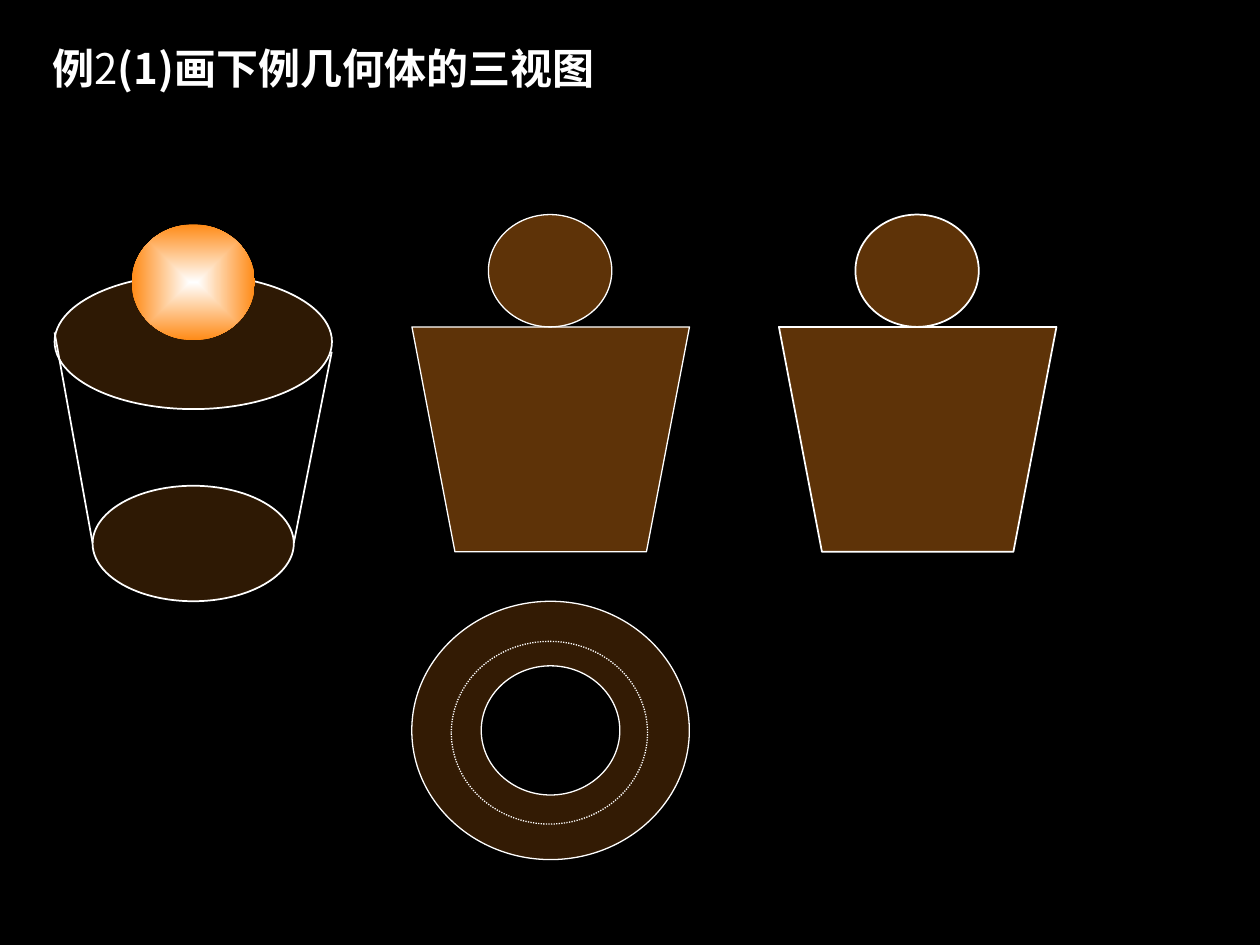
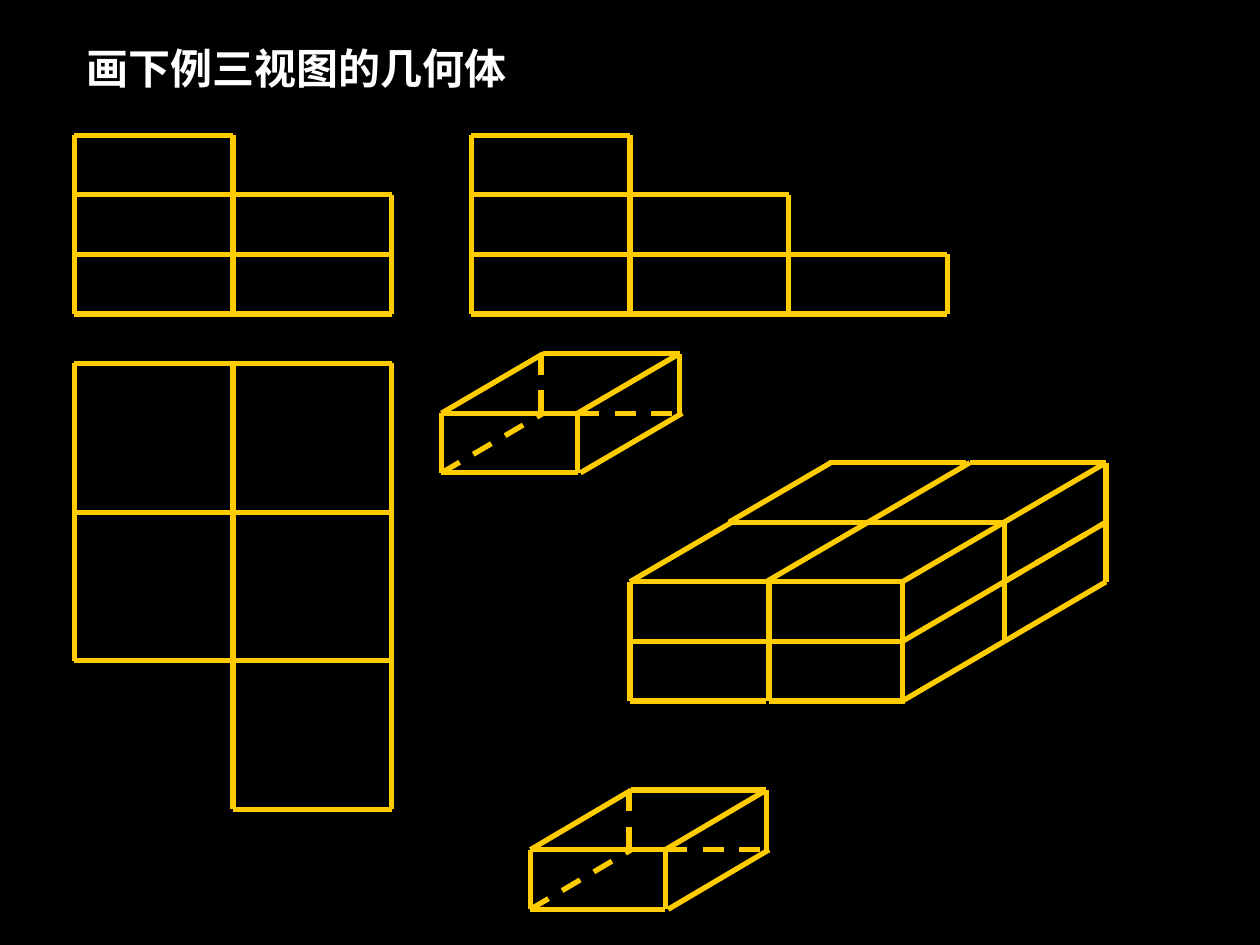
import pptx
import pptx.util
import pptx.dml.color
import pptx.enum.dml
import pptx.enum.shapes
import pptx.oxml
import pptx.oxml.ns
from dataclasses import dataclass

Pt = pptx.util.Pt
qn = pptx.oxml.ns.qn
Dash = pptx.enum.dml.MSO_LINE


@dataclass(frozen=True)
class Theme:
    back: str = "000000"
    text: str = "FFFFFF"
    edge: str = "FFCC00"
    clay: str = "FF8B17"
    size: float = 24
    thin: float = 0.75
    fine: float = 1
    bold: float = 3
    han: str = "Noto Sans CJK SC"
    latin: str = "Montserrat"


theme = Theme()

titles = [
    {"runs": [("例", True), ("2", False), ("(1)画下例几何体的三视图", True)],
     "box": (23, 20.5, 333.4, 36), "font": theme.han},
    {"runs": [("画下例三视图的几何体", True)],
     "box": (42.5, 20.5, 275, 36), "font": theme.latin},
]
rims = [(31.2, 156.8, 158.5, 77), (52.9, 277.6, 115, 66)]
sides = [(31.2, 190, 52.9, 310.3), (189.6, 201, 167.9, 310.3)]
ball = (75.3, 128.2, 70.4, 66.2)
fronts = [(235.4, theme.thin), (445.1, theme.fine)]
ring = {"mid": (314.6, 417.4), "outer": (79.3, 73.8), "inner": (39.6, 36.9)}
base = (257.9, 366.5, 112.1, 104.4)

views = [
    {"at": (42.5, 77.3), "cell": (90.7, 34.05),
     "cells": [(0, 0), (0, 1), (1, 1), (0, 2), (1, 2)]},
    {"at": (269.3, 77.3), "cell": (90.7, 34.05),
     "cells": [(0, 0), (0, 1), (1, 1), (0, 2), (1, 2), (2, 2)]},
    {"at": (42.5, 207.7), "cell": (90.7, 84.95),
     "cells": [(0, 0), (1, 0), (0, 1), (1, 1), (1, 2)]},
]
hidden = [((0, 0, 0), (0, 0, 1)), ((0, 1, 1), (0, 0, 1)), ((0, 0, 1), (1, 0, 1))]
inner = [((0, 0, 1), (1, 0, 1)), ((0, 1, 1), (1, 1, 1)), ((0, 2, 1), (1, 2, 1)),
         ((0.75, 2, 1), (1.75, 2, 1)), ((2, 1, 1), (2, 0, 1)), ((2, 1, 1), (2, 1, 2))]
small = {hidden[1]: -1.4, hidden[2]: -1.4, ((1, 0, 0), (1, 0, 1)): 1.6}
large = {((1, 0, 0), (1, 1, 0)): 1.7, ((1, 1, 0), (1, 2, 0)): 1.7,
         ((1, 0, 0), (2, 0, 0)): 1.7, ((0, 2, 1), (0, 2, 2)): -1.6,
         ((0, 2, 2), (1, 2, 2)): -2.4}
blocks = [
    {"at": (360, 400.6), "unit": (77.8, 34.05, 58.2), "count": 2,
     "dashes": inner, "shifts": large},
    {"at": (252.3, 270.2), "unit": (77.8, 34.05, 58.2), "count": 1,
     "dashes": hidden, "shifts": small},
    {"at": (303.1, 519.6), "unit": (77.1, 34.05, 57.7), "count": 1,
     "dashes": hidden, "shifts": small},
]


def color(code):
    return pptx.dml.color.RGBColor.from_string(code)


def pts(values):
    return [Pt(v) for v in values]


def write(slide, runs, box, font, size=theme.size, tint=theme.text):
    frame = slide.shapes.add_textbox(*pts(box)).text_frame
    frame.word_wrap = True
    para = frame.paragraphs[0]
    for text, bold in runs:
        run = para.add_run()
        run.text = text
        run.font.name = font
        run.font.size = Pt(size)
        run.font.bold = bold
        run.font.color.rgb = color(tint)
        east = run.font._element.makeelement(qn("a:ea"), {"typeface": theme.han})
        run.font._element.find(qn("a:latin")).addnext(east)


def style(shape, alpha=None, width=None, dash=None):
    shape.shadow.inherit = False
    if alpha:
        shape.fill.solid()
        shape.fill.fore_color.rgb = color(theme.clay)
        tone = shape._element.spPr.find(qn("a:solidFill"))[0]
        tone.append(tone.makeelement(qn("a:alpha"), {"val": str(alpha * 1000)}))
    else:
        shape.fill.background()
    if width:
        shape.line.color.rgb = color(theme.text)
        shape.line.width = Pt(width)
        if dash:
            shape.line.dash_style = dash
    else:
        shape.line.fill.background()


def oval(group, box, **look):
    kind = pptx.enum.shapes.MSO_SHAPE.OVAL
    shape = group.shapes.add_shape(kind, *pts(box))
    style(shape, **look)
    return shape


def line(group, ends, tint, width, dash=None):
    kind = pptx.enum.shapes.MSO_CONNECTOR.STRAIGHT
    link = group.shapes.add_connector(kind, *pts(ends))
    link.line.color.rgb = color(tint)
    link.line.width = Pt(width)
    if dash:
        link.line.dash_style = dash
    props = link._element.spPr
    props.append(props.makeelement(qn("a:effectLst"), {}))


def outline(group, loops, **look):
    loops = [[pts(spot) for spot in loop] for loop in loops]
    pen = group.shapes.build_freeform(*loops[0][0])
    for num, loop in enumerate(loops):
        if num:
            pen.move_to(*loop[0])
        pen.add_line_segments(loop[1:], close=True)
    shape = pen.convert_to_shape()
    style(shape, **look)
    return shape


def glow(shape):
    shape.fill.gradient()
    for stop, tint in zip(shape.fill.gradient_stops, (theme.text, theme.clay)):
        stop.color.rgb = color(tint)
    grad = shape._element.spPr.find(qn("a:gradFill"))
    grad.remove(grad.find(qn("a:lin")))
    rect = pptx.oxml.parse_xml(
        '<a:path xmlns:a="http://schemas.openxmlformats.org/drawingml/2006/main"'
        ' path="rect"><a:fillToRect l="50000" t="50000" r="50000" b="50000"/></a:path>')
    grad.find(qn("a:gsLst")).addnext(rect)


def curve(mid, radii, turn):
    k = 0.55
    arc = [(-1, 0), (-1, -k), (-k, -1), (0, -1), (k, -1), (1, -k), (1, 0),
           (1, k), (k, 1), (0, 1), (-k, 1), (-1, k), (-1, 0)]
    return [(mid[0] + radii[0] * x, mid[1] + radii[1] * y * turn) for x, y in arc]


def bend(shape):
    steps = list(shape._element.iter(qn("a:lnTo")))
    for n in range(0, len(steps), 3):
        arc = steps[n].makeelement(qn("a:cubicBezTo"), {})
        steps[n].addprevious(arc)
        for step in steps[n:n + 3]:
            arc.append(step[0])
            step.getparent().remove(step)


def solid(slide):
    group = slide.shapes.add_group_shape()
    for rim in rims:
        oval(group, rim, alpha=18, width=theme.fine)
    for side in sides:
        line(group, side, theme.text, theme.fine)
    glow(oval(group, ball))


def plan(slide):
    group = slide.shapes.add_group_shape()
    loops = [curve(ring["mid"], ring["outer"], 1), curve(ring["mid"], ring["inner"], -1)]
    bend(outline(group, loops, alpha=20, width=theme.thin))
    oval(group, base, width=theme.thin, dash=Dash.ROUND_DOT)


def front(slide, left, width):
    group = slide.shapes.add_group_shape()
    top, low, wide, inset = 186.8, 315.3, 158.6, 24.6
    loop = [(left, top), (left + inset, low),
            (left + wide - inset, low), (left + wide, top)]
    outline(group, [loop], alpha=37, width=width)
    oval(group, (left + 43.7, 122.6, 70.5, 64.2), alpha=37, width=width)


def view(slide, at, cell, cells):
    group = slide.shapes.add_group_shape()
    edges = set()
    for c, r in cells:
        edges |= {(c, r, c + 1, r), (c, r + 1, c + 1, r + 1),
                  (c, r, c, r + 1), (c + 1, r, c + 1, r + 1)}
    for edge in sorted(edges):
        ends = [at[i % 2] + cell[i % 2] * n for i, n in enumerate(edge)]
        line(group, ends, theme.edge, theme.bold)


def faces(count):
    edges = set()
    for a in range(count):
        for b in range(count + 1):
            edges |= {((a, b, 0), (a + 1, b, 0)), ((b, a, 0), (b, a + 1, 0)),
                      ((a, count, b), (a + 1, count, b)),
                      ((b, count, a), (b, count, a + 1)),
                      ((count, a, b), (count, a + 1, b)),
                      ((count, b, a), (count, b, a + 1))}
    return sorted(edges)


def block(slide, at, unit, count, dashes, shifts):
    group = slide.shapes.add_group_shape()
    wide, high, deep = unit
    plain = [(edge, None) for edge in faces(count)]
    for edge, dash in plain + [(edge, Dash.DASH) for edge in dashes]:
        ends = []
        for x, y, z in edge:
            ends += [at[0] + x * wide + z * deep + shifts.get(edge, 0),
                     at[1] - (y + z) * high]
        line(group, ends, theme.edge, theme.bold, dash)


def page(deck, title):
    slide = deck.slides.add_slide(deck.slide_layouts[6])
    slide.background.fill.solid()
    slide.background.fill.fore_color.rgb = color(theme.back)
    write(slide, **title)
    return slide


def main():
    deck = pptx.Presentation()
    deck.slide_width, deck.slide_height = Pt(720), Pt(540)
    first, second = [page(deck, title) for title in titles]
    solid(first)
    plan(first)
    for left, width in fronts:
        front(first, left, width)
    for item in views:
        view(second, **item)
    for item in blocks:
        block(second, **item)
    deck.save("out.pptx")


if __name__ == "__main__":
    main()
